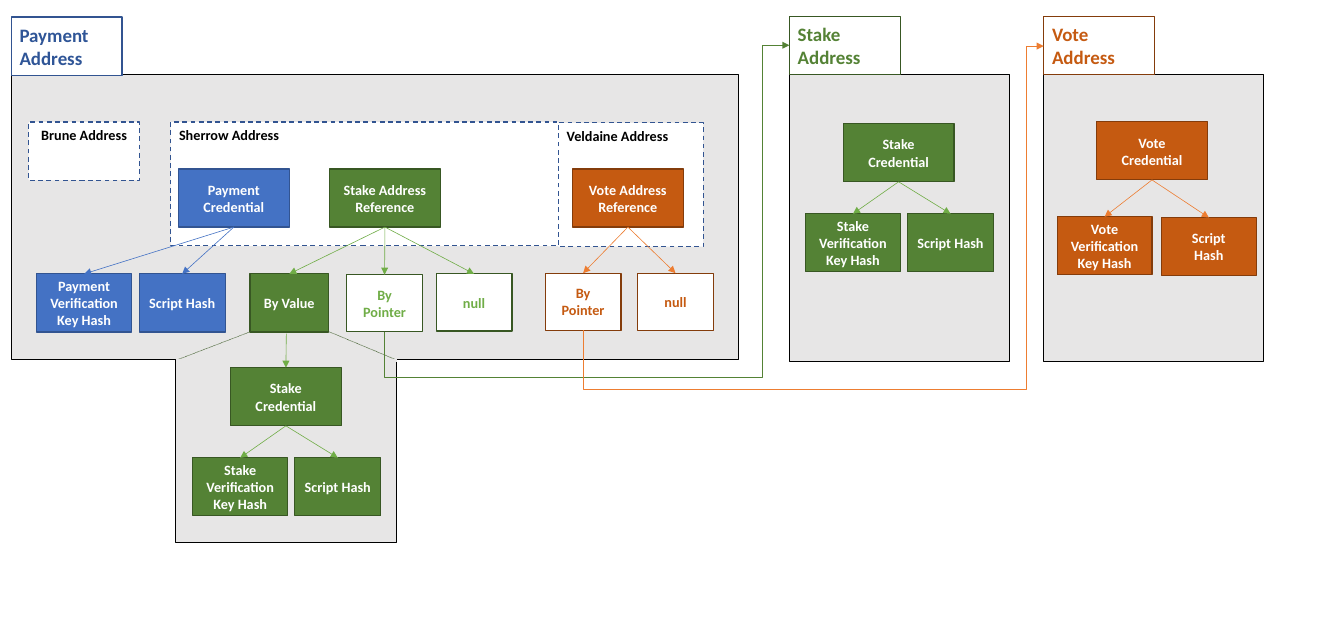
"""Draw the address structure diagram: payment, stake and vote addresses."""
from dataclasses import dataclass
from typing import Optional

import pptx
import pptx.dml.color
import pptx.enum.dml
import pptx.enum.shapes
import pptx.enum.text
import pptx.oxml.ns
import pptx.util
from lxml import etree

Pt = pptx.util.Pt
RGBColor = pptx.dml.color.RGBColor
Align = pptx.enum.text.PP_ALIGN
Anchor = pptx.enum.text.MSO_ANCHOR
Dash = pptx.enum.dml.MSO_LINE
Link = pptx.enum.shapes.MSO_CONNECTOR
qn = pptx.oxml.ns.qn

WHITE = RGBColor(0xFF, 0xFF, 0xFF)
BLACK = RGBColor(0x00, 0x00, 0x00)
GREY = RGBColor(0xE7, 0xE6, 0xE6)
BLUE = RGBColor(0x44, 0x72, 0xC4)
BLUE_EDGE = RGBColor(0x32, 0x54, 0x91)
BLUE_TITLE = RGBColor(0x2F, 0x55, 0x97)
GREEN = RGBColor(0x54, 0x82, 0x35)
GREEN_EDGE = RGBColor(0x38, 0x57, 0x23)
GREEN_LIGHT = RGBColor(0x70, 0xAD, 0x47)
RUST = RGBColor(0xC5, 0x5A, 0x11)
RUST_EDGE = RGBColor(0x84, 0x3C, 0x0B)
ORANGE = RGBColor(0xED, 0x7D, 0x31)

Point = tuple[float, float]


@dataclass(frozen=True)
class Style:
    fill: RGBColor
    edge: RGBColor
    ink: RGBColor
    size: int = 12
    align: Align = Align.CENTER
    anchor: Anchor = Anchor.MIDDLE
    dash: Optional[Dash] = None


@dataclass(frozen=True)
class Box:
    text: str
    left: float
    top: float
    width: float
    height: float
    style: Style


@dataclass(frozen=True)
class Family:
    parent: Box
    children: list[Box]
    color: RGBColor


@dataclass(frozen=True)
class Route:
    start: Point
    end: Point
    low: float
    turn: float
    color: RGBColor


PANEL = Style(GREY, BLACK, BLACK)
ERA = Style(WHITE, BLUE_EDGE, BLACK, align=Align.LEFT, anchor=Anchor.TOP, dash=Dash.DASH)
FIRST_ERA = Style(WHITE, BLUE_EDGE, BLACK, anchor=Anchor.TOP, dash=Dash.DASH)
PAYMENT_TAB = Style(WHITE, BLUE_EDGE, BLUE_TITLE, 16, Align.LEFT)
STAKE_TAB = Style(WHITE, GREEN_EDGE, GREEN, 16, Align.LEFT)
VOTE_TAB = Style(WHITE, RUST_EDGE, RUST, 16, Align.LEFT)
PAYMENT = Style(BLUE, BLUE_EDGE, WHITE)
STAKE = Style(GREEN, GREEN_EDGE, WHITE)
VOTE = Style(RUST, RUST_EDGE, WHITE)
STAKE_OPTION = Style(WHITE, GREEN_EDGE, GREEN_LIGHT)
VOTE_OPTION = Style(WHITE, RUST_EDGE, RUST)

WIDE, KEY, HASH, OPTION, TALL = 93.6, 80, 72.7, 64, 49


def stake_family(left: float, top: float) -> Family:
    """Return a stake credential with its two hashes."""
    return Family(
        Box("Stake\nCredential", left, top, WIDE, TALL, STAKE),
        [Box("Stake\nVerification Key Hash", left - 31.7, top + 76, KEY, TALL, STAKE),
         Box("Script Hash", left + 54.3, top + 76, HASH, TALL, STAKE)],
        GREEN_LIGHT)


FRAMES = [
    Box("", 148.3, 302.4, 186.5, 155.5, PANEL),
    Box("", 880.6, 62.6, 185.8, 242.6, PANEL),
    Box("", 666, 62.6, 185.8, 242.6, PANEL),
    Box("", 9.4, 62.6, 613.4, 240.5, PANEL),
    Box("Payment\nAddress", 9.4, 14.4, WIDE, TALL, PAYMENT_TAB),
    Box("Stake\nAddress", 666, 13.7, WIDE, TALL, STAKE_TAB),
    Box("Vote\nAddress", 880.6, 13.7, WIDE, TALL, VOTE_TAB),
    Box("Brune Address", 24.2, 103, WIDE, TALL, FIRST_ERA),
    Box("Sherrow Address", 144, 103, 327, 104.4, ERA),
    Box("Veldaine Address", 471, 103.7, 122.4, 104.4, ERA),
]

FAMILIES = [
    Family(Box("Payment\nCredential", 150.5, 142.6, WIDE, TALL, PAYMENT),
           [Box("Payment\nVerification Key Hash", 31, 231.1, KEY, TALL, PAYMENT),
            Box("Script Hash", 117.4, 231.1, HASH, TALL, PAYMENT)], BLUE),
    Family(Box("Stake Address\nReference", 278, 142.6, WIDE, TALL, STAKE),
           [Box("By Value", 211, 231.1, 66.2, TALL, STAKE),
            Box("By Pointer", 292.5, 231.8, OPTION, 48.2, STAKE_OPTION),
            Box("null", 368, 231.1, OPTION, 48.2, STAKE_OPTION)], GREEN_LIGHT),
    Family(Box("Vote Address\nReference", 483, 142.6, WIDE, TALL, VOTE),
           [Box("By Pointer", 460, 230.5, OPTION, 48.2, VOTE_OPTION),
            Box("null", 538, 230.5, OPTION, 48.2, VOTE_OPTION)], ORANGE),
    stake_family(194.4, 310.3),
    stake_family(711.4, 104.4),
    Family(Box("Vote\nCredential", 925.2, 102.8, WIDE, TALL, VOTE),
           [Box("Vote\nVerification Key Hash", 892, 182.9, KEY, TALL, VOTE),
            Box("Script\nHash", 980, 183.6, KEY, TALL, VOTE)], ORANGE),
]

ROUTES = [
    Route((324.5, 280), (666, 38.2), 318.2, 643, GREEN),
    Route((492, 278.7), (880.6, 38.9), 328.3, 866.2, ORANGE),
]


def draw_box(slide, box: Box):
    """Draw a rectangle with its label and return the shape."""
    style = box.style
    shape = slide.shapes.add_shape(
        pptx.enum.shapes.MSO_SHAPE.RECTANGLE,
        Pt(box.left), Pt(box.top), Pt(box.width), Pt(box.height))
    shape.shadow.inherit = False
    shape.fill.solid()
    shape.fill.fore_color.rgb = style.fill
    shape.line.color.rgb = style.edge
    shape.line.width = Pt(1)
    if style.dash:
        shape.line.dash_style = style.dash
    if box.text:
        shape.text_frame.vertical_anchor = style.anchor
        label = shape.text_frame.paragraphs[0]
        label.text = box.text
        label.alignment = style.align
        label.font.name = "Calibri"
        label.font.size = Pt(style.size)
        label.font.bold = True
        label.font.color.rgb = style.ink
    return shape


def draw_line(slide, start: Point, end: Point, color: RGBColor, width: float = 0.5,
              arrow: bool = False, kind: Link = Link.STRAIGHT):
    """Draw a shadowless line, with an arrowhead at its end if wanted."""
    line = slide.shapes.add_connector(kind, *map(Pt, (*start, *end)))
    line.line.color.rgb = color
    line.line.width = Pt(width)
    if arrow:
        etree.SubElement(line.line._get_or_add_ln(), qn("a:tailEnd"), type="triangle")
    etree.SubElement(line._element.spPr, qn("a:effectLst"))
    return line


def draw_route(slide, route: Route) -> None:
    """Draw an arrow that runs down, right, up and right again."""
    (x1, y1), (x2, y2) = route.start, route.end
    run, rise = x2 - x1, y1 - y2
    x, y = (x1 + x2 - rise) / 2, (y1 + y2 - run) / 2
    line = draw_line(slide, (x, y), (x + rise, y + run), route.color,
                     arrow=True, kind=Link.ELBOW)
    frame = line._element.spPr.find(qn("a:xfrm"))
    for key, value in (("rot", "5400000"), ("flipH", "1"), ("flipV", "1")):
        frame.set(key, value)
    geometry = line._element.spPr.find(qn("a:prstGeom"))
    geometry.set("prst", "bentConnector4")
    guides = geometry.find(qn("a:avLst"))
    bends = (("adj1", (y1 - route.low) / rise), ("adj2", (route.turn - x1) / run))
    for name, share in bends:
        etree.SubElement(guides, qn("a:gd"), name=name, fmla=f"val {round(share * 100000)}")


def main() -> None:
    """Build the slide and save it."""
    deck = pptx.Presentation()
    deck.slide_width, deck.slide_height = Pt(1134), Pt(540)
    slide = deck.slides.add_slide(deck.slide_layouts[6])
    for frame in FRAMES:
        draw_box(slide, frame)
    for corner, notch in (((211, 280), (150.5, 303.2)), ((277.9, 280), (334.8, 303.8))):
        draw_line(slide, corner, notch, GREEN_EDGE).line.dash_style = Dash.ROUND_DOT
    draw_line(slide, (148.3, 303.8), (334.8, 303.8), GREY, 2.5)
    for family in FAMILIES:
        parent = draw_box(slide, family.parent)
        for box in family.children:
            child = draw_box(slide, box)
            arrow = draw_line(slide, (0, 0), (0, 0), family.color, arrow=True)
            arrow.begin_connect(parent, 2)
            arrow.end_connect(child, 0)
    draw_line(slide, (241.6, 281.5), (241.2, 310.3), GREEN_LIGHT, arrow=True)
    for route in ROUTES:
        draw_route(slide, route)
    deck.save("out.pptx")


if __name__ == "__main__":
    main()
